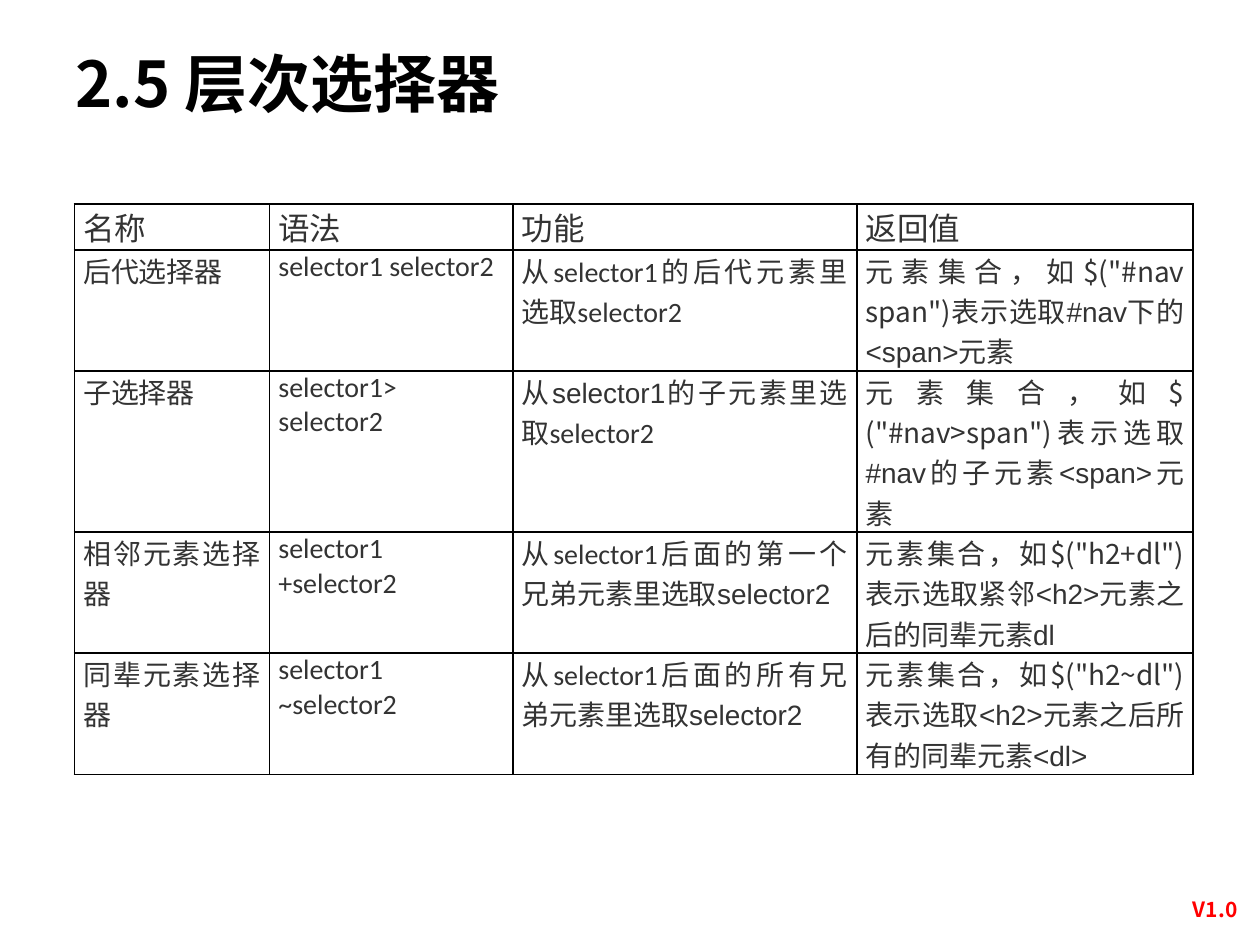
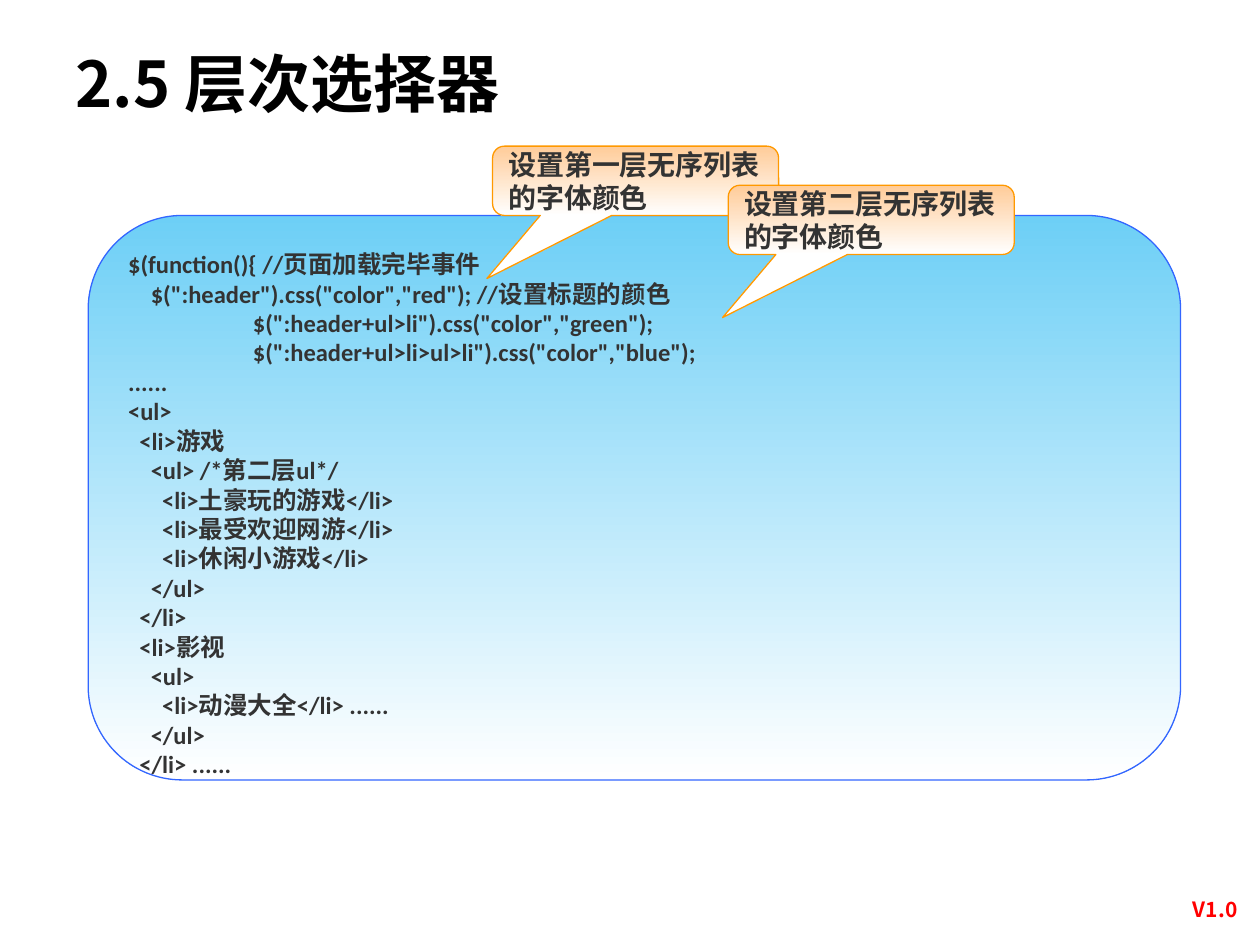
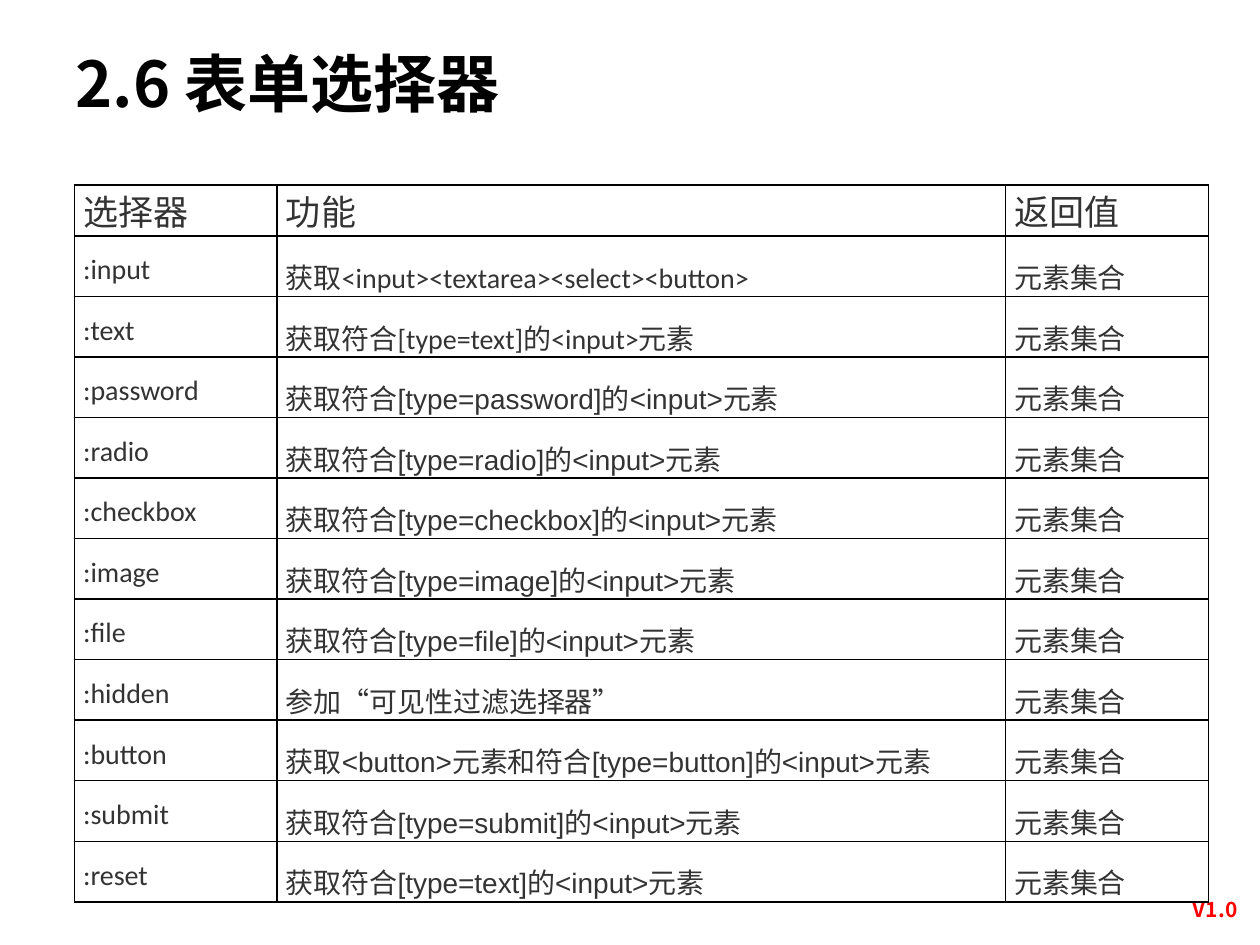
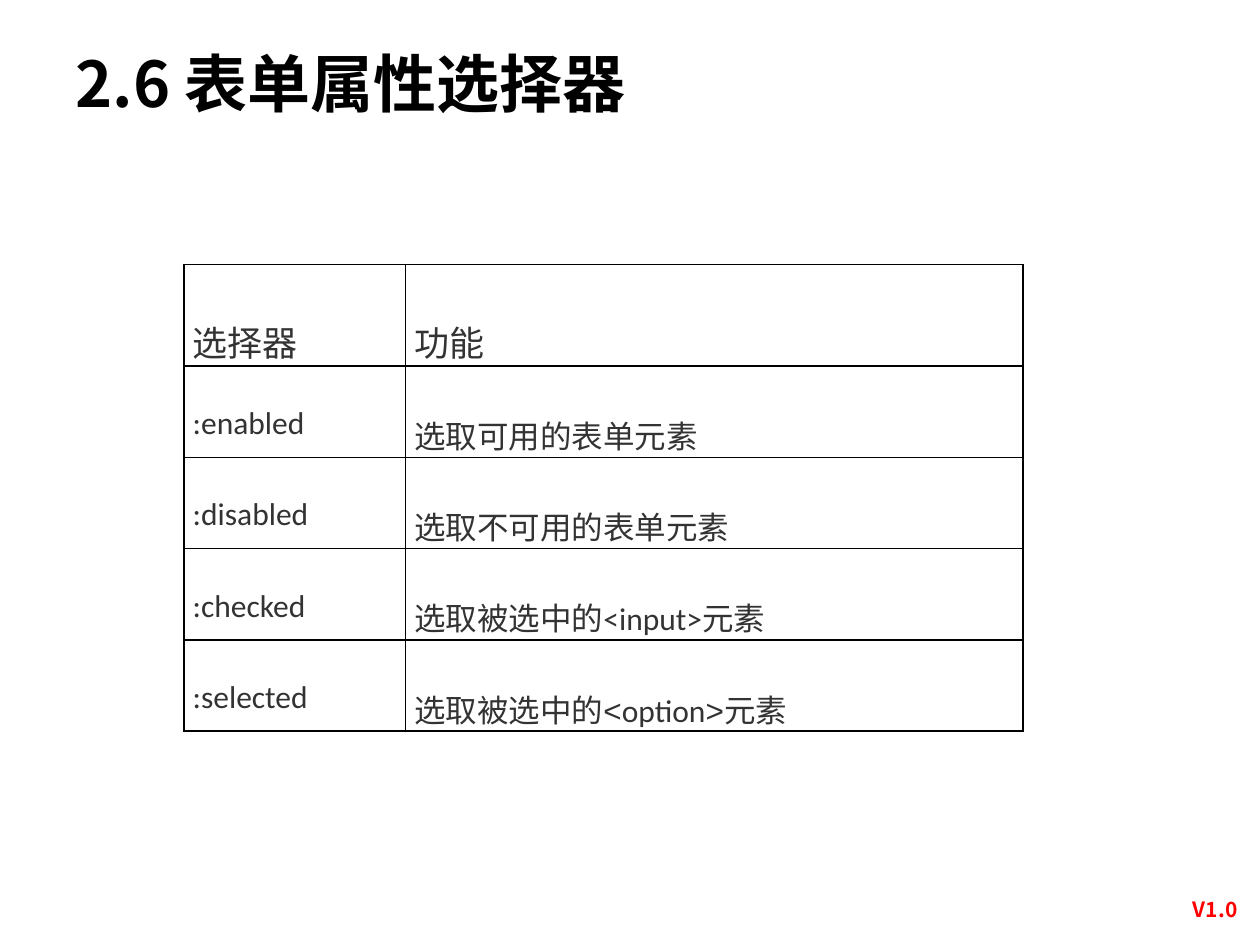
from lxml import etree
from pptx import Presentation
from pptx import util as u
from pptx.dml.color import RGBColor
from pptx.enum import shapes, text
from pptx.oxml import ns

COLORS = {
    "title": "000000", "body": "333333", "version": "FF0000", "border": "000000",
    "white": "FFFFFF", "code": "6DCFF6", "code_line": "3366FF",
    "note": "FFCC99", "note_line": "FF9900",
}
CJK, LATIN, CODE = "Noto Sans CJK SC", "Arial", "Calibri"
MARKS = {"@": LATIN, "^": CODE}
CODE_STEP = 0.09

HIERARCHY = [
    ["名称", "语法", "功能", "返回值"],
    ["后代选择器", "^selector1 selector2",
     "从|^selector1|的后代元素里选取|^selector2",
     '元素集合，如$("#nav span")表示选取|@#nav|下的|@<span>|元素'],
    ["子选择器", "^selector1> selector2",
     "从|@selector1|的子元素里选取|^selector2",
     '元素集合，如$("#nav>span")表示选取|@#nav|的子元素|@<span>|元素'],
    ["相邻元素选择器", "^selector1 +selector2",
     "从|^selector1|后面的第一个兄弟元素里选取|@selector2",
     '元素集合，如$("h2+dl")表示选取紧邻|@<h2>|元素之后的同辈元素|@dl'],
    ["同辈元素选择器", "^selector1 ~selector2",
     "从|^selector1|后面的所有兄弟元素里选取|@selector2",
     '元素集合，如$("h2~dl")表示选取|@<h2>|元素之后所有的同辈元素|@<dl>'],
]

CODE_LINES = [
    (0, "$(function(){ //页面加载完毕事件"),
    (2, '$(":header").css("color","red"); //设置标题的颜色'),
    (11, '$(":header+ul>li").css("color","green");'),
    (11, '$(":header+ul>li>ul>li").css("color","blue");'),
    (0, "......"),
    (0, "<ul>"),
    (1, "<li>游戏"),
    (2, "<ul> /*第二层ul*/"),
    (3, "<li>土豪玩的游戏</li>"),
    (3, "<li>最受欢迎网游</li>"),
    (3, "<li>休闲小游戏</li>"),
    (2, "</ul>"),
    (1, "</li>"),
    (1, "<li>影视"),
    (2, "<ul>"),
    (3, "<li>动漫大全</li> ......"),
    (2, "</ul>"),
    (1, "</li> ......"),
]


def typed_input(kind):
    """Return the description of the inputs of one type."""
    return f"获取符合|@[type={kind}]|的|@<input>|元素"


FORM_SELECTORS = {
    "input": "获取|^<input><textarea><select><button>",
    "text": "获取符合|^[type=text]的<input>|元素",
    **{k: typed_input(k) for k in ("password", "radio", "checkbox", "image", "file")},
    "hidden": "参加“可见性过滤选择器”",
    "button": "获取|@<button>|元素和符合|@[type=button]|的|@<input>|元素",
    "submit": typed_input("submit"),
    "reset": typed_input("text"),
}
FORM = [["选择器", "功能", "返回值"]] + [
    [f"^:{name}", use, "元素集合"] for name, use in FORM_SELECTORS.items()]

FORM_STATE = [
    ["选择器", "功能"],
    ["^:enabled", "选取可用的表单元素"],
    ["^:disabled", "选取不可用的表单元素"],
    ["^:checked", "选取被选中的|^<input>|元素"],
    ["^:selected", "选取被选中的|@<|^option|@>|元素"],
]


def rgb(name):
    """Look up a colour by its role."""
    return RGBColor.from_string(COLORS[name])


def set_font(p, size, color, bold=False, name=None):
    """Format a whole paragraph."""
    p.font.size = u.Pt(size)
    p.font.color.rgb = rgb(color)
    p.font.bold = bold
    if name:
        p.font.name = name


def add_version(slide):
    """Put the version mark on the layout that the slide uses."""
    sp = slide.shapes.add_textbox(*map(u.Inches, (9.25, 7.07, 0.79, 0.3)))
    tf = sp.text_frame
    tf.word_wrap = True
    tf.auto_size = text.MSO_AUTO_SIZE.SHAPE_TO_FIT_TEXT
    p = tf.paragraphs[0]
    p.text = "V1.0"
    p.alignment = text.PP_ALIGN.CENTER
    set_font(p, 12, "version", True, CJK)
    slide.slide_layout.element.cSld.spTree.append(sp.element)


def add_titled_slide(prs, title):
    """Add a slide with its title placed and formatted."""
    slide = prs.slides.add_slide(prs.slide_layouts[5])
    sp = slide.shapes.title
    sp.left, sp.top, sp.width, sp.height = map(u.Inches, (0.5, 0.3, 9.22, 0.77))
    tf = sp.text_frame
    tf.auto_size = text.MSO_AUTO_SIZE.NONE
    tf.vertical_anchor = text.MSO_ANCHOR.TOP
    p = tf.paragraphs[0]
    p.text = title
    p.alignment = text.PP_ALIGN.LEFT
    set_font(p, 36, "title", True, CJK)
    return slide


def style_cell(cell):
    """Give a cell its margins, thin borders and no fill."""
    cell.margin_left = cell.margin_right = u.Inches(0.07)
    cell.margin_top = cell.margin_bottom = 0
    tc_pr = cell._tc.get_or_add_tcPr()
    for side in ("lnL", "lnR", "lnT", "lnB"):
        ln = etree.SubElement(tc_pr, ns.qn(f"a:{side}"), w=str(u.Pt(1)))
        fill = etree.SubElement(ln, ns.qn("a:solidFill"))
        etree.SubElement(fill, ns.qn("a:srgbClr"), val=COLORS["border"])
    cell.fill.background()


def fill_cell(cell, content, size, spacing):
    """Write pieces split by bars, each in the font its mark names."""
    p = cell.text_frame.paragraphs[0]
    p.alignment = text.PP_ALIGN.JUSTIFY
    p.line_spacing = spacing
    set_font(p, size, "body")
    for piece in content.split("|"):
        r = p.add_run()
        r.text = piece.lstrip("@^")
        r.font.name = MARKS.get(piece[0], CJK)


def add_grid(slide, left, top, cols, heights, rows, sizes, spacings):
    """Add a bordered table; sizes and spacings are (header, body)."""
    frame = slide.shapes.add_table(
        len(rows), len(cols), u.Inches(left), u.Inches(top),
        u.Inches(sum(cols)), u.Inches(sum(heights)))
    table = frame.table
    table.first_row = table.horz_banding = False
    for col, width in zip(table.columns, cols):
        col.width = u.Inches(width)
    for i, (row, height) in enumerate(zip(table.rows, heights)):
        row.height = u.Inches(height)
        body = int(i > 0)
        for cell, content in zip(row.cells, rows[i]):
            style_cell(cell)
            fill_cell(cell, content, sizes[body], spacings[body])


def add_gradient_shape(slide, kind, box, color, anchor):
    """Add a shape that fades down to white, with wrapped text."""
    sp = slide.shapes.add_shape(kind, *map(u.Inches, box))
    sp.shadow.inherit = False
    sp.fill.gradient()
    sp.fill.gradient_angle = 270
    for stop, name in zip(sp.fill.gradient_stops, (color, "white")):
        stop.color.rgb = rgb(name)
    sp.line.color.rgb = rgb(f"{color}_line")
    sp.line.width = u.Pt(0.75)
    sp.text_frame.word_wrap = True
    sp.text_frame.vertical_anchor = anchor
    return sp


def add_code(slide, box):
    """Add the code panel with one indented paragraph a line."""
    sp = add_gradient_shape(slide, shapes.MSO_SHAPE.FLOWCHART_ALTERNATE_PROCESS,
                            box, "code", text.MSO_ANCHOR.TOP)
    tf = sp.text_frame
    for i, (level, line) in enumerate(CODE_LINES):
        p = tf.add_paragraph() if i else tf.paragraphs[0]
        p.text = line
        p.alignment = text.PP_ALIGN.LEFT
        p._p.get_or_add_pPr().set("marL", str(u.Inches(CODE_STEP * level)))
        set_font(p, 14, "body", True, CODE)


def add_note(slide, left, top, content):
    """Add a callout that points down and left at the code."""
    sp = add_gradient_shape(slide, shapes.MSO_SHAPE.ROUNDED_RECTANGULAR_CALLOUT,
                            (left, top, 2.27, 0.55), "note", text.MSO_ANCHOR.MIDDLE)
    for i, value in enumerate((-0.52, 1.41, 0.17)):
        sp.adjustments[i] = value
    p = sp.text_frame.paragraphs[0]
    p.text = content
    p.alignment = text.PP_ALIGN.LEFT
    set_font(p, 16, "body", True, LATIN)


def main():
    """Build the four slides."""
    prs = Presentation()
    prs.slide_width, prs.slide_height = u.Inches(10), u.Inches(7.5)

    slide = add_titled_slide(prs, "2.5 层次选择器")
    add_version(slide)
    add_grid(slide, 0.59, 1.62, [1.55, 1.93, 2.73, 2.67],
             [0.3, 0.8, 1.09, 0.8, 0.8], HIERARCHY, (18, 16), (None, None))

    slide = add_titled_slide(prs, "2.5 层次选择器")
    add_code(slide, (0.7, 1.71, 8.67, 4.48))
    add_note(slide, 3.91, 1.16, "设置第一层无序列表的字体颜色")
    add_note(slide, 5.78, 1.47, "设置第二层无序列表的字体颜色")

    slide = add_titled_slide(prs, "2.6 表单选择器")
    add_grid(slide, 0.59, 1.47, [1.61, 5.78, 1.61],
             [0.33] + [0.4] * len(FORM_SELECTORS), FORM, (20, 16), (None, 1.5))

    slide = add_titled_slide(prs, "2.6 表单属性选择器")
    add_grid(slide, 1.46, 2.1, [1.76, 4.9], [0.67] + [0.6] * 4,
             FORM_STATE, (20, 18), (2.0, 2.0))

    prs.save("out.pptx")


if __name__ == "__main__":
    main()
